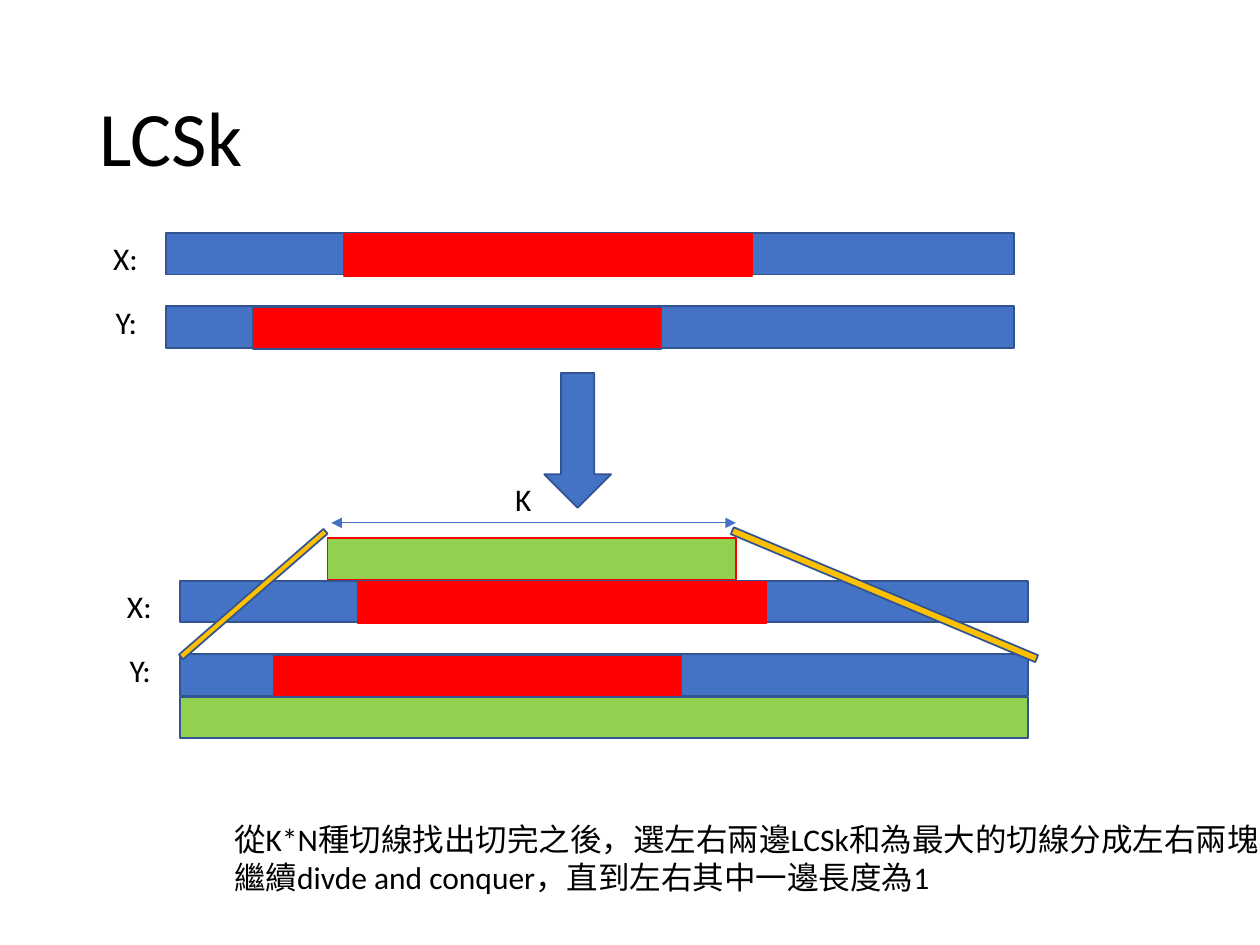
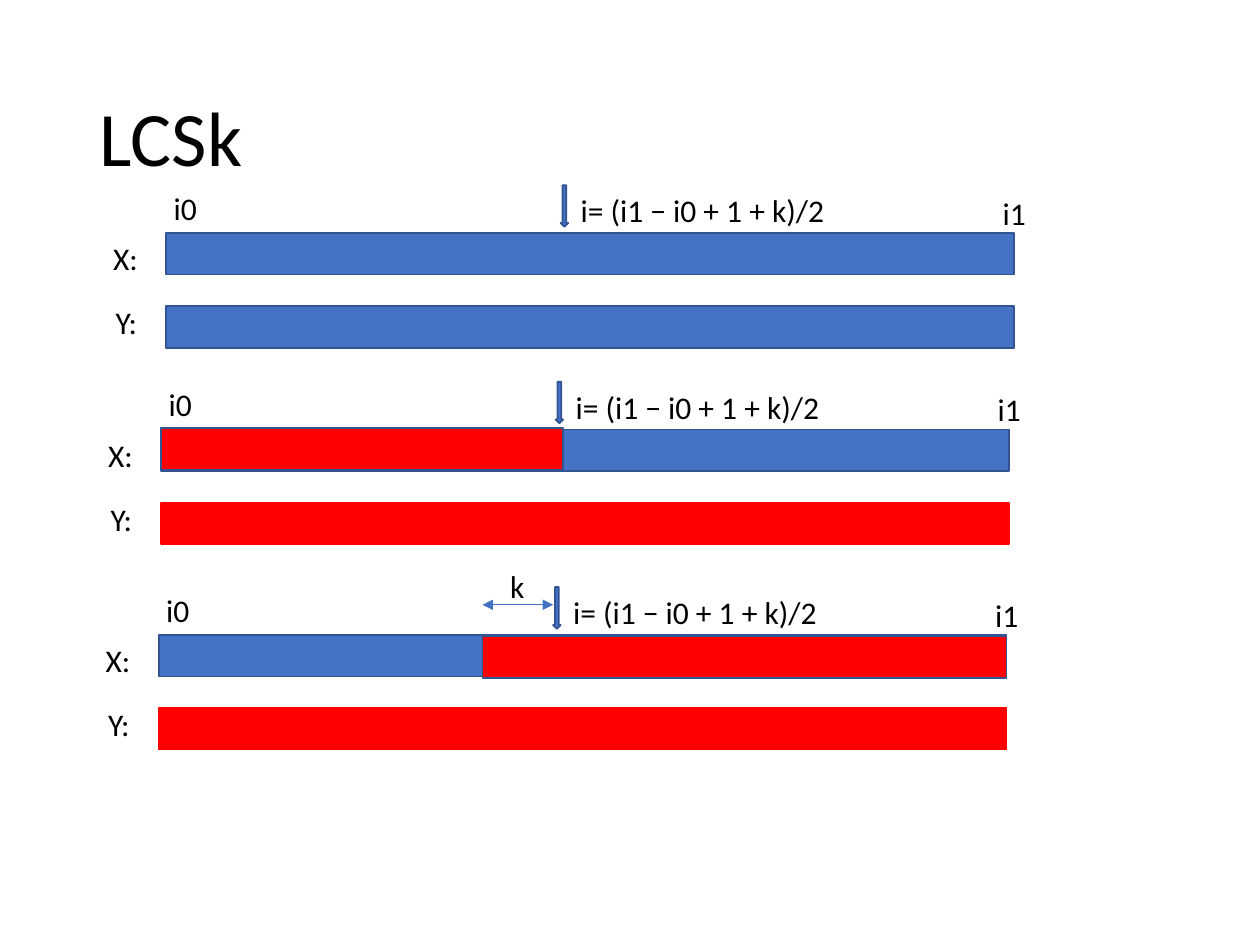
"""Build two slides that explain LCSk divide and conquer with sequence bars."""
import pptx
import pptx.dml.color
import pptx.enum.shapes
import pptx.enum.text
import pptx.oxml
import pptx.oxml.ns
import pptx.util

RGB = pptx.dml.color.RGBColor
SHAPE = pptx.enum.shapes.MSO_SHAPE
ANCHOR = pptx.enum.text.MSO_ANCHOR
AUTO = pptx.enum.text.MSO_AUTO_SIZE
inch = pptx.util.Inches

BLACK = RGB(0x00, 0x00, 0x00)
BLUE = RGB(0x44, 0x72, 0xC4)
NAVY = RGB(0x32, 0x54, 0x91)
RED = RGB(0xFF, 0x00, 0x00)
GREEN = RGB(0x92, 0xD0, 0x50)
GOLD = RGB(0xFF, 0xC0, 0x00)

FONT = "Calibri"
SLIDE_W, SLIDE_H = 10, 7.5
BAR_W, BAR_H = 6.73, 0.33
ROW_STEP = 0.58
MATCH_W = 3.24
TEXT_H = 0.4
NUDGE = 0.01

TITLE = "LCSk"
FORMULA = "i= (i1 − i0 + 1 + k)/2"
NOTES = [
    "從K*N種切線找出切完之後，選左右兩邊LCSk和為最大的切線分成左右兩塊",
    "繼續divde and conquer，直到左右其中一邊長度為1",
]

# ROWS: label, offset from the bars' left edge, offset from the top, width
ROWS = [("X:", -0.52, 0, 0.4), ("Y:", -0.5, 0.51, 0.37)]
INDEX_LABELS = [
    (FORMULA, 3.19, -0.38, 2.22),
    ("i0", -0.04, -0.4, 0.39),
    ("i1", 6.54, -0.36, 0.39),
]

# Each segment: row, offset along the bar, vertical nudge, width, line colour
MATCH_PAIRS = [
    dict(x=1.32, y=1.85, segments=[(1, 0.69, NUDGE, MATCH_W, NAVY),
                                   (0, 1.41, NUDGE, MATCH_W, RED)]),
    dict(x=1.43, y=4.61, segments=[(0, 1.41, NUDGE, MATCH_W, RED),
                                   (1, 0.74, NUDGE, MATCH_W, NAVY)]),
]
SPLIT_PAIRS = [
    dict(x=1.32, y=1.85),
    dict(x=1.28, y=3.41, y_fill=RED, segments=[(0, 0, -NUDGE, 3.19, NAVY)]),
    dict(x=1.26, y=5.04, y_fill=RED, segments=[(0, 2.57, NUDGE, 4.16, NAVY)]),
]
CUT_LINES = [(1.25, 4.69, 1.52, 0.05, 139), (5.71, 4.69, 2.62, 0.06, 22.8)]


def add_block(s, x, y, w, h=BAR_H, fill=BLUE, line=NAVY, kind=SHAPE.RECTANGLE):
    sp = s.shapes.add_shape(kind, inch(x), inch(y), inch(w), inch(h))
    sp.shadow.inherit = False
    sp.fill.solid()
    sp.fill.fore_color.rgb = fill
    sp.line.color.rgb = line
    sp.line.width = pptx.util.Pt(1)
    return sp


def add_text(s, lines, x, y, w, h=TEXT_H, size=18):
    tf = s.shapes.add_textbox(inch(x), inch(y), inch(w), inch(h)).text_frame
    tf.word_wrap = False
    tf.auto_size = AUTO.SHAPE_TO_FIT_TEXT
    for i, line in enumerate(lines):
        p = tf.add_paragraph() if i else tf.paragraphs[0]
        r = p.add_run()
        r.text = line
        r.font.name = FONT
        r.font.size = pptx.util.Pt(size)
        r.font.color.rgb = BLACK
    return tf


def add_span(s, x1, x2, y):
    cx = s.shapes.add_connector(pptx.enum.shapes.MSO_CONNECTOR.STRAIGHT,
                                inch(x1), inch(y), inch(x2), inch(y))
    cx.line.color.rgb = BLUE
    cx.line.width = pptx.util.Pt(0.5)
    ln = cx.line._get_or_add_ln()
    for end in ("a:headEnd", "a:tailEnd"):
        pptx.oxml.ns.qn(end)
        arrow = pptx.oxml.parse_xml(
            f'<{end} {pptx.oxml.ns.nsdecls("a")} type="triangle"/>')
        ln.append(arrow)
    cx._element.spPr.append(
        pptx.oxml.parse_xml(f'<a:effectLst {pptx.oxml.ns.nsdecls("a")}/>'))


def add_pair(s, x, y, y_fill=BLUE, segments=()):
    add_block(s, x, y, BAR_W)
    add_block(s, x, y + ROW_STEP, BAR_W, fill=y_fill,
              line=RED if y_fill == RED else NAVY)
    for label, dx, dy, w in ROWS:
        add_text(s, [label], x + dx, y + dy, w)
    for row, dx, dy, w, line in segments:
        add_block(s, x + dx, y + row * ROW_STEP + dy, w, fill=RED, line=line)


def add_index(s, x, y):
    add_block(s, x + 3.13, y - 0.38, 0.06, kind=SHAPE.DOWN_ARROW)
    for label, dx, dy, w in INDEX_LABELS:
        add_text(s, [label], x + dx, y + dy, w)


def add_slide(prs):
    s = prs.slides.add_slide(prs.slide_layouts[6])
    tf = add_text(s, [TITLE], 0.69, 0.4, 8.62, 1.45, size=44)
    tf.word_wrap = True
    tf.auto_size = AUTO.NONE
    tf.vertical_anchor = ANCHOR.MIDDLE
    tf.paragraphs[0].line_spacing = 0.9
    return s


def build_match_slide(prs):
    s = add_slide(prs)
    for pair in MATCH_PAIRS:
        add_pair(s, **pair)
    add_block(s, 4.32, 2.96, 0.53, 1.07, kind=SHAPE.DOWN_ARROW)
    add_block(s, 1.43, 5.53, BAR_W, fill=GREEN)
    add_block(s, 2.6, 4.27, MATCH_W, fill=GREEN, line=RED)
    for x, y, w, h, angle in CUT_LINES:
        add_block(s, x, y, w, h, fill=GOLD).rotation = angle
    add_span(s, 2.63, 5.84, 4.15)
    add_text(s, ["K"], 3.99, 3.76, 0.33)
    add_text(s, NOTES, 1.76, 6.46, 8.41, 0.71)


def build_split_slide(prs):
    s = add_slide(prs)
    for pair in SPLIT_PAIRS:
        add_pair(s, **pair)
        add_index(s, pair["x"], pair["y"])
    add_span(s, 3.83, 4.39, 4.8)
    add_text(s, ["k"], 3.95, 4.45, 0.32)


def main():
    prs = pptx.Presentation()
    prs.slide_width, prs.slide_height = inch(SLIDE_W), inch(SLIDE_H)
    build_match_slide(prs)
    build_split_slide(prs)
    prs.save("out.pptx")


if __name__ == "__main__":
    main()
